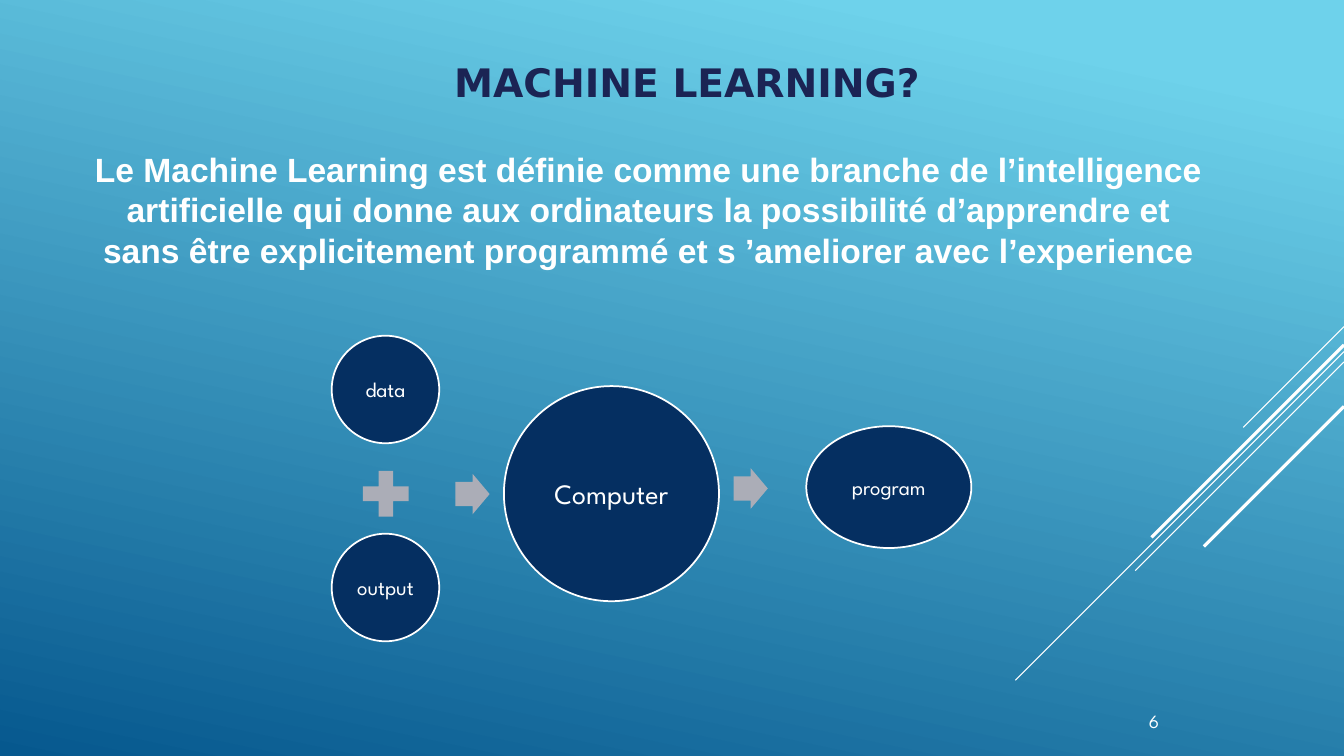
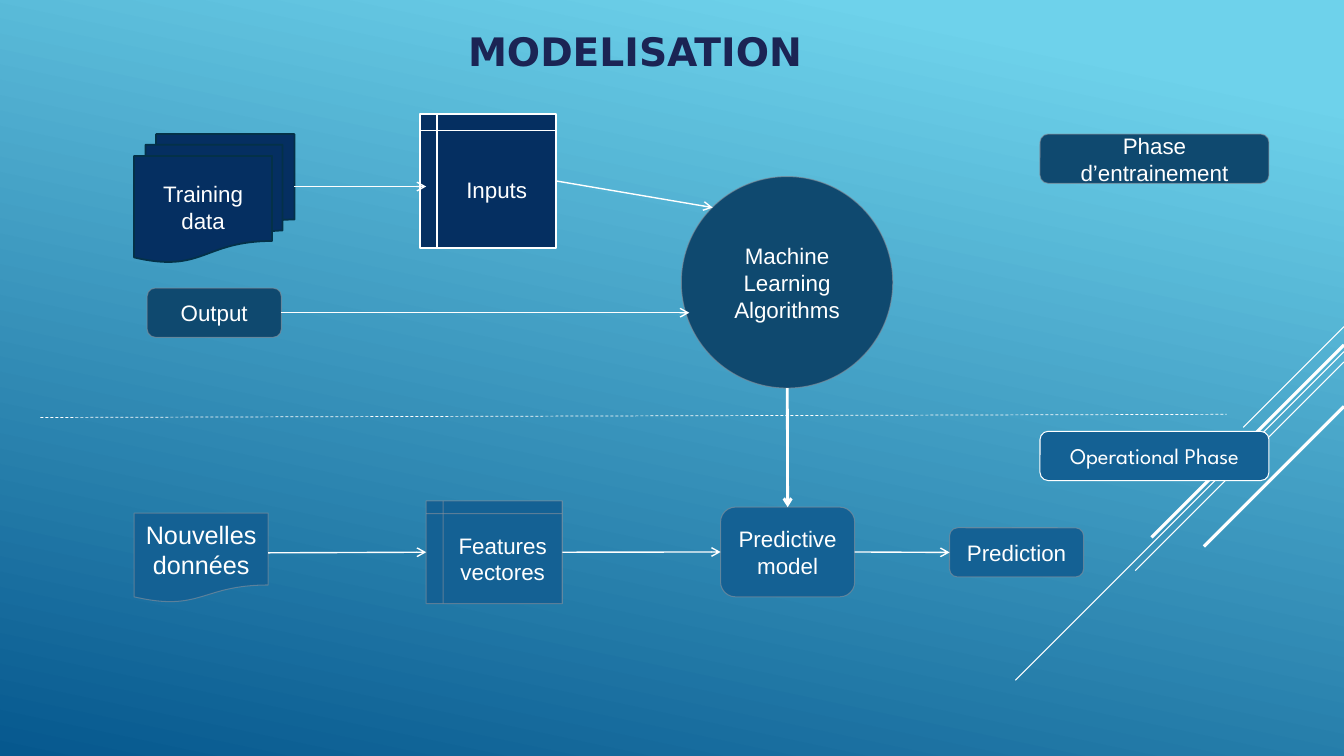
from lxml import etree
from pptx import Presentation
from pptx.dml.color import RGBColor
from pptx.enum.dml import MSO_LINE
from pptx.enum.shapes import MSO_CONNECTOR, MSO_SHAPE
from pptx.enum.text import MSO_ANCHOR, PP_ALIGN
from pptx.oxml.ns import qn
from pptx.util import Cm, Pt

STRAIGHT = MSO_CONNECTOR.STRAIGHT
DASH = MSO_LINE.DASH
OVAL = MSO_SHAPE.OVAL
PLUS = MSO_SHAPE.MATH_PLUS
ARROW = MSO_SHAPE.RIGHT_ARROW
STORE = MSO_SHAPE.FLOWCHART_INTERNAL_STORAGE
STACK = MSO_SHAPE.FLOWCHART_MULTIDOCUMENT
SHEET = MSO_SHAPE.FLOWCHART_DOCUMENT
ROUND = MSO_SHAPE.FLOWCHART_ALTERNATE_PROCESS
MIDDLE, TOP = MSO_ANCHOR.MIDDLE, MSO_ANCHOR.TOP
CENTER, RIGHT = PP_ALIGN.CENTER, PP_ALIGN.RIGHT
UP, LEFT, EAST = 0, 1, 3

HEX = {
    "sky": "6ED2EB", "deep": "06588E", "white": "FFFFFF", "title": "1B2454",
    "navy": "052F61", "edge": "043148", "dark": "0F496F", "blue": "146194",
    "gray": "89919C", "sign": "ABADB7",
}
RGB = {name: RGBColor.from_string(code) for name, code in HEX.items()}
HEAD = {"name": "DejaVu Sans", "size": Pt(28), "bold": True}
BODY = {"name": "Arial", "size": Pt(24), "bold": True}
PAGE = {"name": "League Spartan", "size": Pt(13.3)}
SMALL = {"name": "League Spartan", "size": Pt(15)}
LARGE = {"name": "League Spartan", "size": Pt(20)}
PHASE = {"name": "League Spartan", "size": Pt(16)}
LABEL = {"name": "Arial", "size": Pt(16)}
BIG = {"name": "Arial", "size": Pt(18)}


def add_box(slide, kind, area, words="", font=LABEL, fill=None, edge=None,
            width=0.75, color="white", align=CENTER, anchor=MIDDLE, inset=None):
    area = [Cm(side) for side in area]
    if kind is None:
        box = slide.shapes.add_textbox(*area)
    else:
        box = slide.shapes.add_shape(kind, *area)
        box.shadow.inherit = False
        box.fill.solid()
        box.fill.fore_color.rgb = RGB[fill]
        if edge:
            box.line.color.rgb = RGB[edge]
            box.line.width = Pt(width)
        else:
            box.line.fill.background()
    if edge == "gray":
        tint = box.element.spPr.find(qn("a:ln")).find(".//" + qn("a:srgbClr"))
        etree.SubElement(tint, qn("a:alpha"), val="60000")
    if words:
        frame = box.text_frame
        frame.word_wrap = True
        frame.vertical_anchor = anchor
        if inset is not None:
            for side in ("left", "top", "right", "bottom"):
                setattr(frame, "margin_" + side, Cm(inset))
        para = frame.paragraphs[0]
        para.alignment = align
        run = para.add_run()
        run.text = words
        for key, value in font.items():
            setattr(run.font, key, value)
        run.font.color.rgb = RGB[color]
    return box


def add_line(slide, start, end, width=1, head=True, dash=None):
    line = slide.shapes.add_connector(
        STRAIGHT, *[Cm(value) for value in (*start, *end)])
    line.line.color.rgb = RGB["white"]
    line.line.width = Pt(width)
    if dash:
        line.line.dash_style = dash
    if head:
        stroke = line.element.spPr.find(qn("a:ln"))
        etree.SubElement(stroke, qn("a:tailEnd"), type="arrow")
    etree.SubElement(line.element.spPr, qn("a:effectLst"))
    return line


WIDE, TALL = 33.87, 19.05
deck = Presentation()
deck.slide_width, deck.slide_height = Cm(WIDE), Cm(TALL)

back = deck.slide_master.background.fill
back.gradient()
back.gradient_angle = 258
for stop, (color, place) in zip(back.gradient_stops, (("sky", 0.1), ("deep", 1))):
    stop.color.rgb = RGB[color]
    stop.position = place

rays = [(8.23, 2.54, 0.75), (8.86, 8.28, 0.75), (9.12, 5.26, 0.75),
        (8.69, 4.85, 2.25), (10.24, 3.53, 2.25)]
pages = []
for title, left, top in (("MACHINE LEARNING?", 7.31, 1.32),
                         ("MODELISATION", 6, 0.53)):
    slide = deck.slides.add_slide(deck.slide_layouts[6])
    for y, run, width in rays:
        add_line(slide, (WIDE, y), (WIDE - run, y + run), width, head=False)
    add_box(slide, None, (left, top, 20, 1.48), title, HEAD, color="title", inset=0)
    pages.append(slide)
intro, model = pages

add_box(intro, None, (24.46, 17.65, 5, 1.02), "6", PAGE, align=RIGHT)
add_box(intro, None, (2.13, 3.63, 28.42, 3.33),
        "Le Machine Learning est définie comme une branche de l’intelligence "
        "artificielle qui donne aux ordinateurs la possibilité d’apprendre et "
        "sans être explicitement programmé et s ’ameliorer avec l’experience",
        BODY, anchor=TOP)
for words, area, font in (
        ("data", (8.36, 8.46, 2.71, 2.71), SMALL),
        ("output", (8.36, 13.45, 2.71, 2.71), SMALL),
        ("Computer", (12.7, 9.73, 5.42, 5.42), LARGE),
        ("program", (20.32, 10.74, 4.16, 3.07), SMALL)):
    add_box(intro, OVAL, area, words, font, "navy", "white", 1.25, inset=0)
add_box(intro, PLUS, (8.94, 11.66, 1.57, 1.57), fill="sign")
for x, y in ((11.48, 11.94), (18.49, 11.8)):
    arrow = add_box(intro, ARROW, (x, y, 0.86, 1.02), fill="sign")
    arrow.adjustments[0] = 0.6

nodes = {}
for words, kind, area, font, fill, edge, width in (
        ("Inputs", STORE, (10.59, 2.87, 3.43, 3.38), LABEL, "navy", "white", 1.25),
        ("Training data", STACK, (3.38, 3.38, 4.04, 3.23), LABEL, "navy", "edge", 1.25),
        ("Output", ROUND, (3.71, 7.26, 3.38, 1.24), LABEL, "dark", "gray", 0.75),
        ("Machine Learning Algorithms", OVAL, (17.17, 4.45, 5.33, 5.33),
         LABEL, "dark", "gray", 0.75),
        ("Features vectores", STORE, (10.74, 12.62, 3.43, 2.59),
         LABEL, "blue", "gray", 0.75),
        ("Nouvelles données", SHEET, (3.38, 12.93, 3.38, 2.26),
         BIG, "blue", "gray", 0.75),
        ("Prediction", ROUND, (23.93, 13.3, 3.38, 1.24), LABEL, "blue", "gray", 0.75),
        ("Phase d’entrainement", ROUND, (26.21, 3.38, 5.77, 1.24),
         LABEL, "dark", "gray", 0.75),
        ("Operational Phase", ROUND, (26.21, 10.87, 5.77, 1.24),
         PHASE, "blue", "white", 0.75),
        ("Predictive model", ROUND, (18.16, 12.78, 3.38, 2.26),
         LABEL, "blue", "gray", 0.75)):
    nodes[words] = add_box(model, kind, area, words, font, fill, edge, width)

add_line(model, (1.02, 10.52), (30.91, 10.44), 0.5, head=False, dash=DASH)
for start, end, width, source, target, side in (
        ((7.42, 4.7), (10.74, 4.7), 1, None, None, None),
        ((14.02, 4.56), (17.96, 5.23), 1, "Inputs", None, None),
        ((7.09, 7.88), (17.37, 7.88), 1, "Output", None, None),
        ((6.76, 13.93), (10.74, 13.92), 1, None, "Features vectores", LEFT),
        ((14.17, 13.92), (18.16, 13.91), 1,
         "Features vectores", "Predictive model", LEFT),
        ((21.54, 13.91), (23.93, 13.92), 1, "Predictive model", "Prediction", LEFT),
        ((19.84, 9.78), (19.85, 12.78), 2, None, "Predictive model", UP)):
    line = add_line(model, start, end, width)
    if source:
        line.begin_connect(nodes[source], EAST)
    if target:
        line.end_connect(nodes[target], side)

deck.save("out.pptx")
